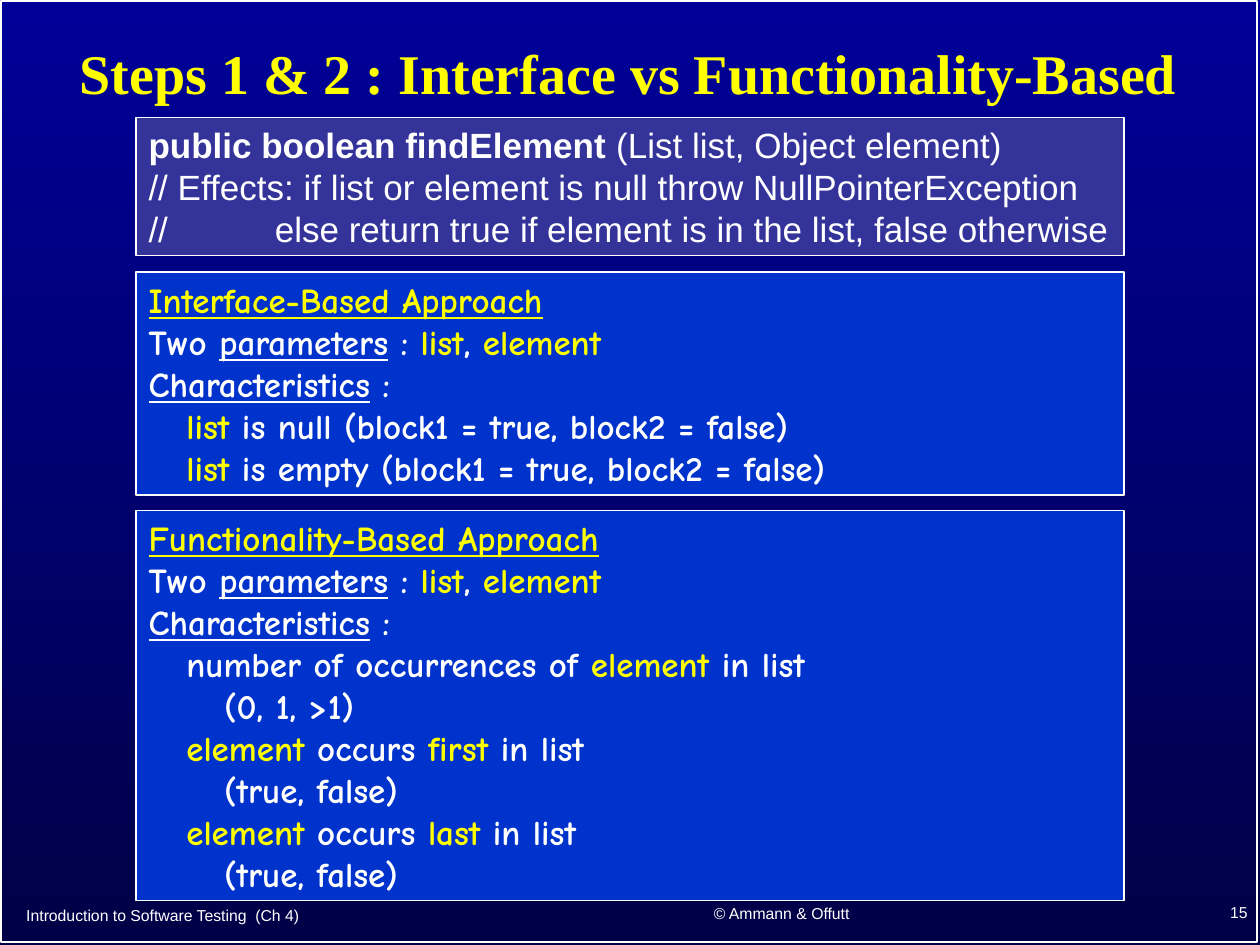
"""Build the slide comparing interface-based and functionality-based approaches."""
from typing import NamedTuple

import pptx
import pptx.dml.color
import pptx.enum.shapes
import pptx.enum.text
import pptx.util

Pt = pptx.util.Pt
RGBColor = pptx.dml.color.RGBColor
PP_ALIGN = pptx.enum.text.PP_ALIGN
MIDDLE = pptx.enum.text.MSO_ANCHOR.MIDDLE

WHITE = RGBColor(0xFF, 0xFF, 0xFF)
YELLOW = RGBColor(0xFF, 0xFF, 0x00)
NAVY_TOP = RGBColor(0x00, 0x00, 0x99)
NAVY_BOTTOM = RGBColor(0x00, 0x00, 0x47)
INDIGO = RGBColor(0x33, 0x33, 0x99)
BLUE = RGBColor(0x00, 0x33, 0xCC)

INDENT = 21.6
BOX_LEFT, BOX_WIDTH = 77.8, 564.5


class Run(NamedTuple):
    text: str
    color: RGBColor = WHITE
    bold: bool = True
    underline: bool = False


class Line(NamedTuple):
    runs: list[Run]
    level: int = 0


class Box(NamedTuple):
    top: float
    height: float
    fill: RGBColor
    font: str
    lines: list[Line]


class Footer(NamedTuple):
    text: str
    left: float
    top: float
    width: float
    height: float
    align: PP_ALIGN


def plain(text: str) -> Run:
    return Run(text, bold=False)


def key(text: str) -> Run:
    return Run(text, YELLOW)


def approach(name: str, details: list[Line]) -> list[Line]:
    return [
        Line([Run(name, YELLOW, underline=True)]),
        Line([Run("Two "), Run("parameters", underline=True), Run(" : "),
              key("list"), Run(", "), key("element")]),
        Line([Run("Characteristics", underline=True), Run(" :")]),
        *details,
    ]


def list_check(state: str) -> Line:
    return Line([key("list"), Run(f" is {state} (block1 = true, block2 = false)")], 1)


def occurrence(place: str) -> list[Line]:
    return [
        Line([key("element"), Run(" occurs "), key(place), Run(" in list")], 1),
        Line([Run("(true, false)")], 2),
    ]


BOXES = [
    Box(67, 79.2, INDIGO, "Arial", [
        Line([Run("public boolean findElement "), plain("(List list, Object element)")]),
        Line([plain("// Effects: if list or element is null throw NullPointerException")]),
        Line([plain("//           else return true if element is in the list, false otherwise")]),
    ]),
    Box(155.5, 127.4, BLUE, "Comic Neue", approach(
        "Interface-Based Approach", [list_check("null"), list_check("empty")])),
    Box(291.6, 223.2, BLUE, "Comic Neue", approach("Functionality-Based Approach", [
        Line([Run("number of occurrences of "), key("element"), Run(" in list")], 1),
        Line([Run("(0, 1, >1)")], 2),
        *occurrence("first"),
        *occurrence("last"),
    ])),
]

FOOTERS = [
    Footer("Introduction to Software Testing  (Ch 4)", 7.9, 509, 310.3, 27.4, PP_ALIGN.LEFT),
    Footer("© Ammann & Offutt", 332.6, 507.6, 228.2, 28.1, PP_ALIGN.CENTER),
    Footer("15", 570.2, 506.9, 149.8, 28.8, PP_ALIGN.RIGHT),
]


def format_run(r, font: str, size: float, color: RGBColor, bold: bool = False) -> None:
    r.font.name = font
    r.font.size = Pt(size)
    r.font.color.rgb = color
    r.font.bold = bold


def add_rect(s, left: float, top: float, width: float, height: float, weight: float):
    sp = s.shapes.add_shape(pptx.enum.shapes.MSO_SHAPE.RECTANGLE,
                            Pt(left), Pt(top), Pt(width), Pt(height))
    sp.shadow.inherit = False
    sp.fill.background()
    sp.line.color.rgb = WHITE
    sp.line.width = Pt(weight)
    return sp


def add_box(s, box: Box) -> None:
    sp = add_rect(s, BOX_LEFT, box.top, BOX_WIDTH, box.height, 0.75)
    sp.fill.solid()
    sp.fill.fore_color.rgb = box.fill
    tf = sp.text_frame
    tf.word_wrap = True
    tf.vertical_anchor = pptx.enum.text.MSO_ANCHOR.TOP
    for i, line in enumerate(box.lines):
        p = tf.add_paragraph() if i else tf.paragraphs[0]
        p.alignment = PP_ALIGN.LEFT
        p.line_spacing = Pt(24)
        if line.level:
            p._p.get_or_add_pPr().set("marL", str(Pt(INDENT * line.level)))
        for run in line.runs:
            r = p.add_run()
            r.text = run.text
            format_run(r, box.font, 20, run.color, run.bold)
            r.font.underline = run.underline


def add_footer(s, footer: Footer) -> None:
    sp = s.shapes.add_textbox(Pt(footer.left), Pt(footer.top),
                              Pt(footer.width), Pt(footer.height))
    tf = sp.text_frame
    tf.text = footer.text
    tf.word_wrap = True
    tf.vertical_anchor = MIDDLE
    p = tf.paragraphs[0]
    p.alignment = footer.align
    format_run(p.runs[0], "Arial", 9, WHITE)


def set_title(s, text: str) -> None:
    sp = s.shapes.title
    sp.left, sp.top, sp.width, sp.height = Pt(34.6), Pt(7.9), Pt(649.4), Pt(72)
    tf = sp.text_frame
    tf.text = text
    tf.word_wrap = True
    tf.vertical_anchor = MIDDLE
    p = tf.paragraphs[0]
    p.alignment = PP_ALIGN.CENTER
    p.line_spacing = 0.9
    format_run(p.runs[0], "Times New Roman", 32, YELLOW, True)


def set_background(s) -> None:
    fill = s.background.fill
    fill.gradient()
    fill.gradient_angle = 270
    for stop, color, position in zip(fill.gradient_stops, (NAVY_TOP, NAVY_BOTTOM), (0, 1)):
        stop.color.rgb = color
        stop.position = position


def main() -> None:
    prs = pptx.Presentation()
    prs.slide_width, prs.slide_height = Pt(720), Pt(540)
    s = prs.slides.add_slide(prs.slide_layouts[5])
    set_background(s)
    add_rect(s, 0.7, 0.7, 717.8, 537.8, 1)
    set_title(s, "Steps 1 & 2 : Interface vs Functionality-Based")
    for box in BOXES:
        add_box(s, box)
    for footer in FOOTERS:
        add_footer(s, footer)
    prs.save("out.pptx")


if __name__ == "__main__":
    main()
